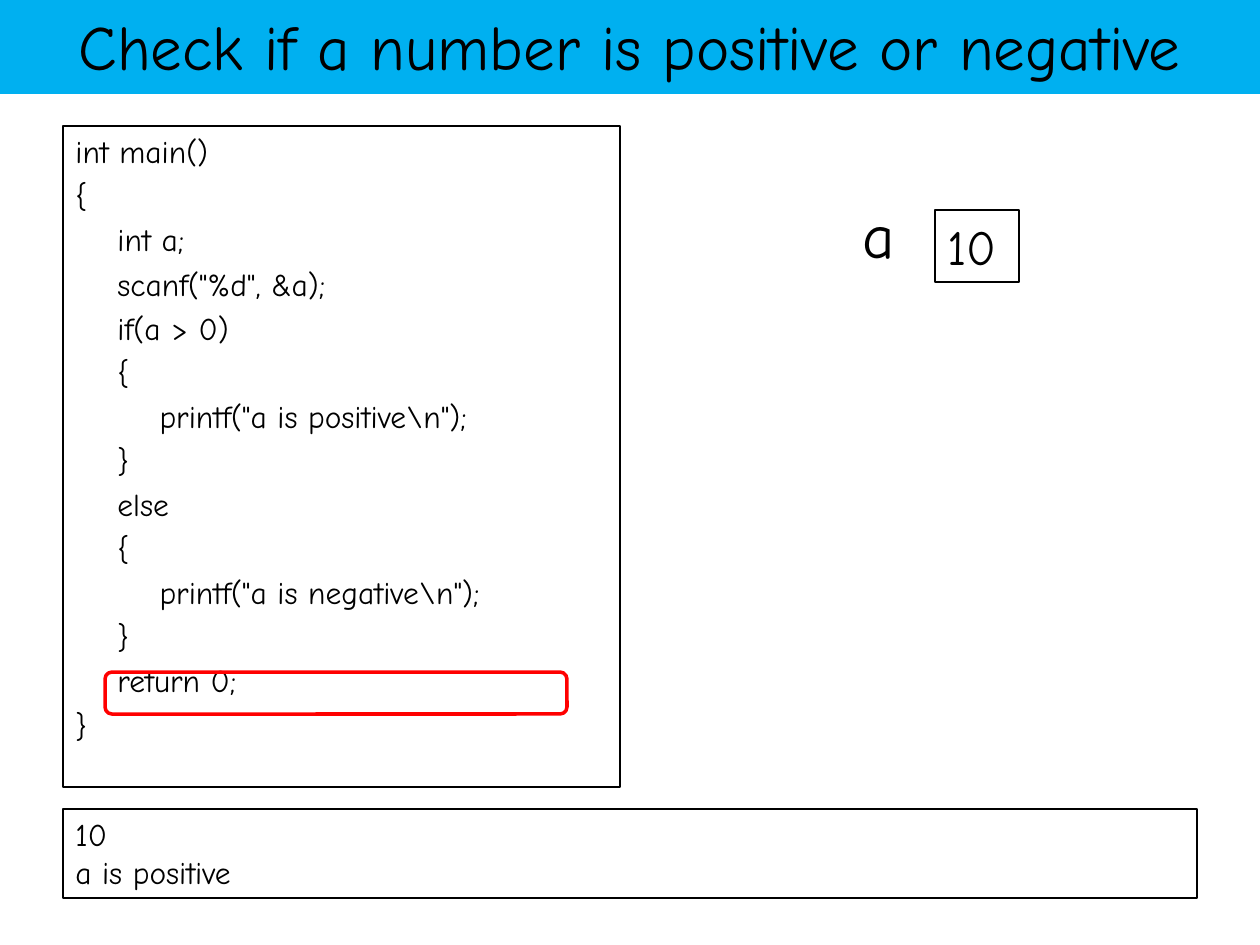
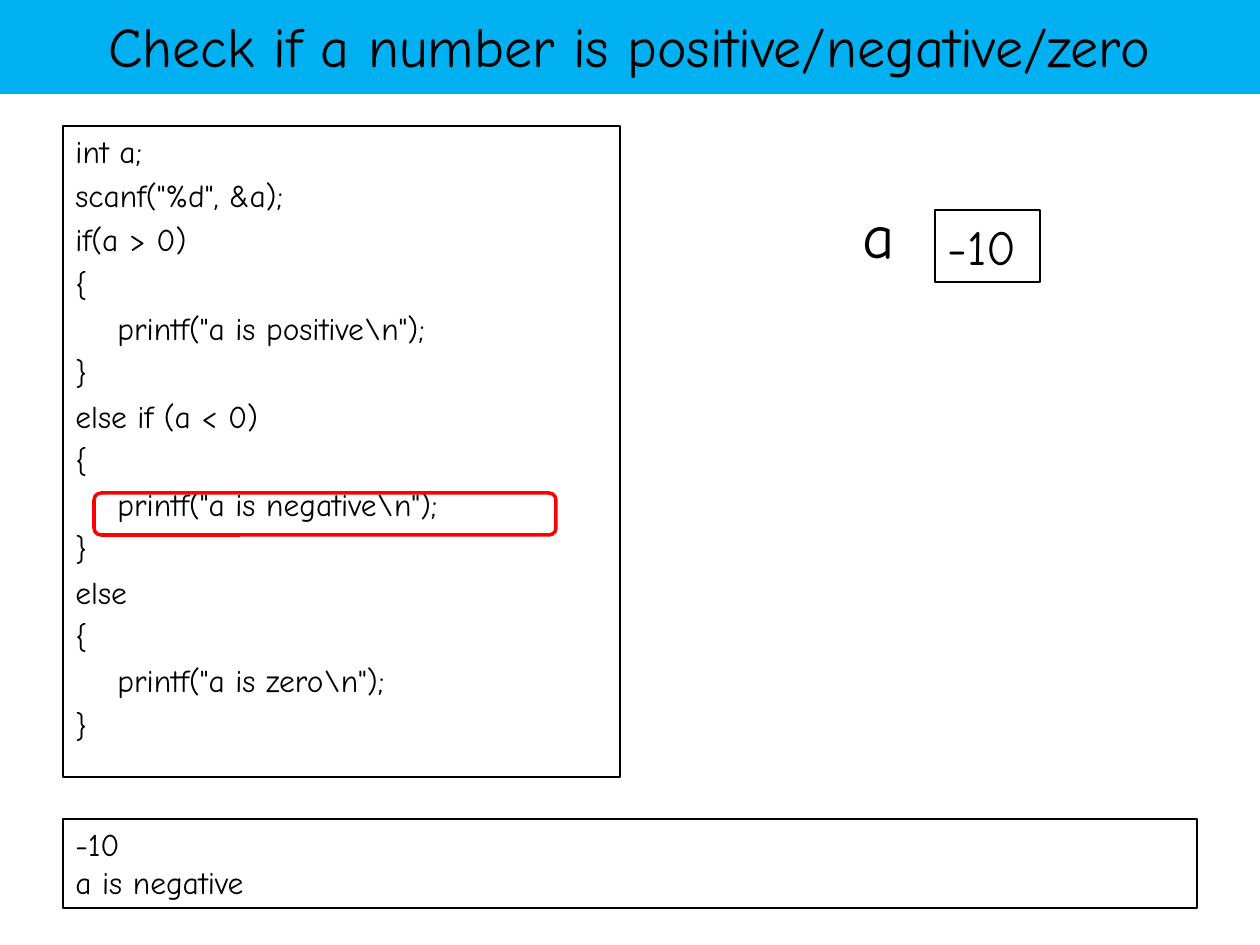
from pptx import Presentation
from pptx import util as u
from pptx.dml import color
from pptx.enum import shapes, text

PX = 914400 / 126
FONT = "Comic Neue"
COLORS = {"band": "00B0F0", "ink": "000000", "marker": "FF0000"}


def add_box(page, frame, kind=shapes.MSO_SHAPE.RECTANGLE, fill=None, line=None, width=0.75):
    box = page.shapes.add_shape(kind, *[u.Emu(round(side * PX)) for side in frame])
    box.shadow.inherit = False
    if fill:
        box.fill.solid()
        box.fill.fore_color.rgb = color.RGBColor.from_string(COLORS[fill])
    else:
        box.fill.background()
    if line:
        box.line.color.rgb = color.RGBColor.from_string(COLORS[line])
        box.line.width = u.Pt(width)
    else:
        box.line.fill.background()
    return box


def write(box, words, size=18, align=text.PP_ALIGN.LEFT, anchor=text.MSO_ANCHOR.TOP, gap=0, grow=False):
    frame = box.text_frame
    frame.word_wrap = True
    frame.vertical_anchor = anchor
    frame.auto_size = text.MSO_AUTO_SIZE.SHAPE_TO_FIT_TEXT if grow else text.MSO_AUTO_SIZE.NONE
    for number, line in enumerate(words.split("\n")):
        para = frame.add_paragraph() if number else frame.paragraphs[0]
        para.alignment = align
        if number:
            para.space_before = u.Pt(gap)
        span = para.add_run()
        span.text = line
        span.font.name = FONT
        span.font.size = u.Pt(size)
        span.font.color.rgb = color.RGBColor.from_string(COLORS["ink"])


TWO_WAY_CODE = r"""int main()
{
    int a;
    scanf("%d", &a);
    if(a > 0)
    {
        printf("a is positive\n");
    }
    else
    {
        printf("a is negative\n");
    }
    return 0;
}"""

THREE_WAY_CODE = r"""int a;
scanf("%d", &a);
if(a > 0)
{
    printf("a is positive\n");
}
else if (a < 0)
{
    printf("a is negative\n");
}
else
{
    printf("a is zero\n");
}"""

LESSONS = [
    {
        "title": "Check if a number is positive or negative", "title_size": 36,
        "code": TWO_WAY_CODE, "code_height": 661,
        "value": "10", "value_width": 84,
        "verdict": "a is positive", "output_top": 809,
        "marker": (105, 672),
    },
    {
        "title": "Check if a number is positive/negative/zero", "title_size": 32,
        "code": THREE_WAY_CODE, "code_height": 651,
        "value": "-10", "value_width": 105,
        "verdict": "a is negative", "output_top": 819,
        "marker": (94, 493),
    },
]

deck = Presentation()
deck.slide_width = u.Inches(10)
deck.slide_height = u.Inches(7.5)

for lesson in LESSONS:
    page = deck.slides.add_slide(deck.slide_layouts[6])

    band = add_box(page, (-1, -4, 1261, 98), fill="band")
    write(band, lesson["title"], size=lesson["title_size"],
          align=text.PP_ALIGN.CENTER, anchor=text.MSO_ANCHOR.MIDDLE)

    listing = add_box(page, (63, 126, 557, lesson["code_height"]), line="ink")
    write(listing, lesson["code"], gap=3.6)

    output = add_box(page, (63, lesson["output_top"], 1134, 89), line="ink")
    write(output, lesson["value"] + "\n" + lesson["verdict"], grow=True)

    value = add_box(page, (935, 210, lesson["value_width"], 72), line="ink")
    write(value, lesson["value"], size=28, grow=True)

    variable = page.shapes.add_textbox(*[u.Emu(round(side * PX)) for side in (850, 189, 63, 89)])
    write(variable, "a", size=36, grow=True)

    add_box(page, (*lesson["marker"], 462, 42), kind=shapes.MSO_SHAPE.ROUNDED_RECTANGLE,
            line="marker", width=2)

deck.save("out.pptx")
